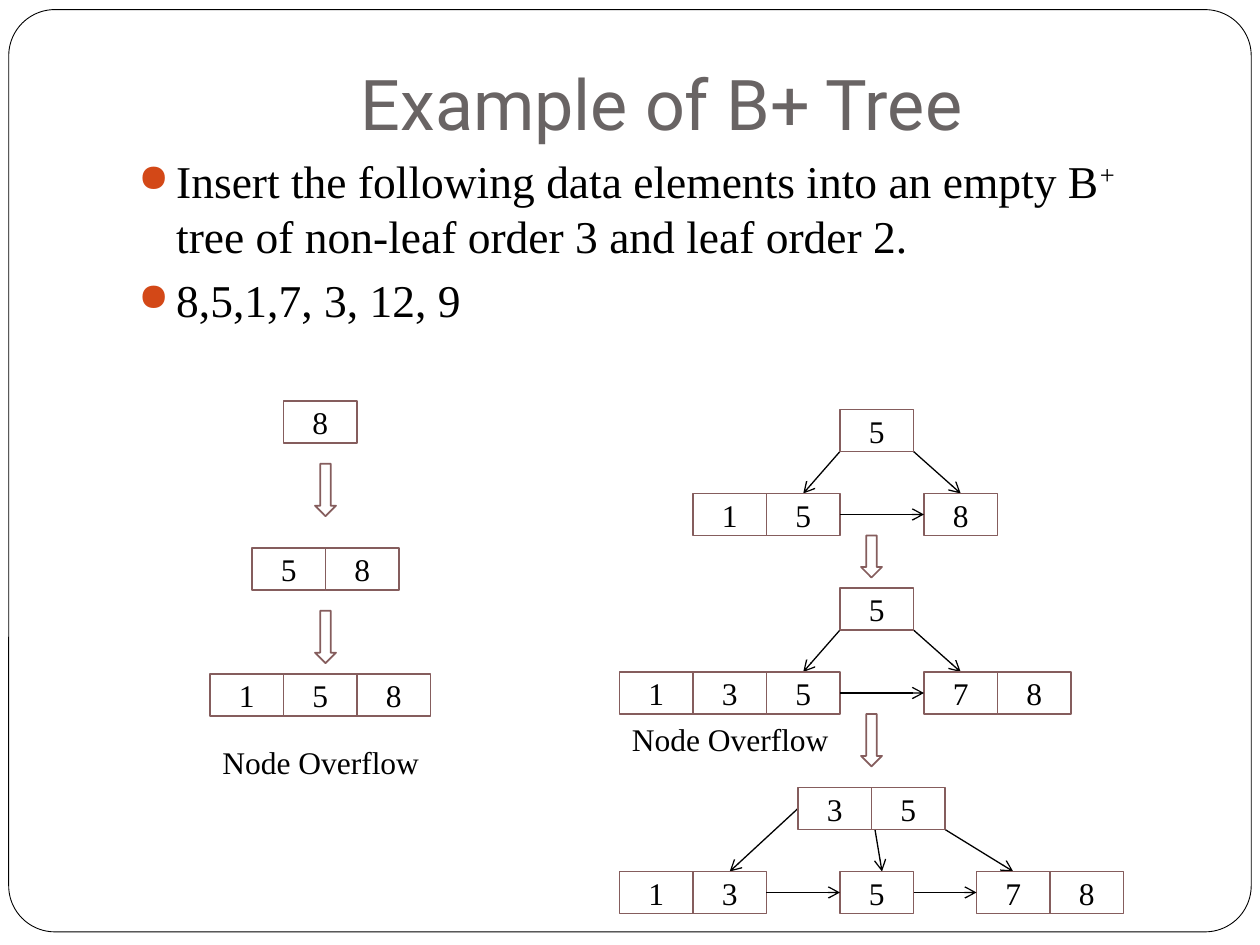
import pptx
import pptx.util
import pptx.dml.color
import pptx.enum.shapes
import pptx.enum.text
import pptx.oxml.ns
from lxml import etree

Pt = pptx.util.Pt
qn = pptx.oxml.ns.qn
SHAPE = pptx.enum.shapes.MSO_SHAPE
ANCHOR = pptx.enum.text.MSO_ANCHOR
ALIGN = pptx.enum.text.PP_ALIGN
COLORS = {"white": "FFFFFF", "black": "000000", "title": "696464",
          "bullet": "D34817", "node": "855D5D"}
CELL_W, CELL_H = 42, 24


def rgb(name):
    return pptx.dml.color.RGBColor.from_string(COLORS[name])


class Deck:
    serif = "Times New Roman"
    sans = "Roboto"

    def __init__(self, width, height):
        self.prs = pptx.Presentation()
        self.prs.slide_width, self.prs.slide_height = Pt(width), Pt(height)
        self.s = self.prs.slides.add_slide(self.prs.slide_layouts[6])

    def font(self, p, size, name, color="black"):
        for r in p.runs:
            r.font.size, r.font.name = Pt(size), name
            r.font.color.rgb = rgb(color)

    def shape(self, kind, x, y, w, h, line="node", weight=1):
        sp = self.s.shapes.add_shape(kind, Pt(x), Pt(y), Pt(w), Pt(h))
        sp.shadow.inherit = False
        sp.fill.solid()
        sp.fill.fore_color.rgb = rgb("white")
        sp.line.color.rgb = rgb(line)
        sp.line.width = Pt(weight)
        return sp

    def frame(self, x, y, w, h):
        sp = self.shape(SHAPE.ROUNDED_RECTANGLE, x, y, w, h, "black", 0.5)
        sp.adjustments[0] = 0.05

    def textbox(self, x, y, w, h):
        tf = self.s.shapes.add_textbox(Pt(x), Pt(y), Pt(w), Pt(h)).text_frame
        tf.word_wrap = True
        return tf

    def title(self, text, x, y, w, h):
        tf = self.textbox(x, y, w, h)
        tf.text = text
        tf.vertical_anchor = ANCHOR.BOTTOM
        tf.margin_bottom = Pt(7.2)
        tf.paragraphs[0].alignment = ALIGN.CENTER
        self.font(tf.paragraphs[0], 40, self.sans, "title")

    def label(self, text, x, y):
        tf = self.textbox(x, y, 132, 29)
        tf.text = text
        self.font(tf.paragraphs[0], 18, self.serif)

    def bullets(self, items, x, y, w, h):
        tf = self.textbox(x, y, w, h)
        for i, parts in enumerate(items):
            p = tf.add_paragraph() if i else tf.paragraphs[0]
            p.space_before = Pt(5.8)
            for j, part in enumerate(parts):
                r = p.add_run()
                r.text = part
                if j == 1:
                    r.font._element.set("baseline", "30000")
            self.font(p, 26, self.serif)
            pPr = p._p.get_or_add_pPr()
            pPr.set("marL", str(Pt(21.6)))
            pPr.set("indent", str(-Pt(21.6)))
            clr = etree.SubElement(pPr, qn("a:buClr"))
            etree.SubElement(clr, qn("a:srgbClr"), val=COLORS["bullet"])
            etree.SubElement(pPr, qn("a:buSzPct"), val="85000")
            etree.SubElement(pPr, qn("a:buChar"), char="●")

    def node(self, keys, x, y):
        for i, key in enumerate(keys):
            sp = self.shape(SHAPE.RECTANGLE, x + i * CELL_W, y, CELL_W, CELL_H)
            tf = sp.text_frame
            tf.text = key
            tf.vertical_anchor = ANCHOR.MIDDLE
            tf.paragraphs[0].alignment = ALIGN.CENTER
            self.font(tf.paragraphs[0], 18, self.serif)

    def step(self, x, y, h=30):
        self.shape(SHAPE.DOWN_ARROW, x, y, 12, h)

    def pointer(self, x1, y1, x2, y2):
        c = self.s.shapes.add_connector(
            pptx.enum.shapes.MSO_CONNECTOR.STRAIGHT, Pt(x1), Pt(y1), Pt(x2), Pt(y2))
        c.line.color.rgb = rgb("black")
        c.line.width = Pt(0.75)
        etree.SubElement(c.line._get_or_add_ln(), qn("a:tailEnd"), type="arrow")
        etree.SubElement(c._element.spPr, qn("a:effectLst"))

    def tree(self, root, leaves, pointers, y):
        leaf_y = y + 2 * CELL_H
        for x1, dy, x2 in pointers:
            self.pointer(x1, y + dy, x2, leaf_y)
        self.node(*root, y)
        for keys, x in leaves:
            self.node(keys, x, leaf_y)
        for (keys, x), (_, next_x) in zip(leaves, leaves[1:]):
            mid = leaf_y + CELL_H / 2
            self.pointer(x + len(keys) * CELL_W, mid, next_x, mid)


def main():
    deck = Deck(720, 540)
    deck.frame(5, 5.5, 710, 527)
    deck.title("Example of B+ Tree", 72, 21.6, 612, 68.4)
    deck.bullets([
        ["Insert the following data elements into an empty B", "+",
         " tree of non-leaf order 3 and leaf order 2."],
        ["8,5,1,7, 3, 12, 9"],
    ], 72, 84, 612, 114)

    for keys, x, y in [("8", 162, 229), ("58", 144, 313), ("158", 120, 385)]:
        deck.node(keys, x, y)
    for y in (265, 349):
        deck.step(180, y)
    deck.label("Node Overflow", 120, 421)

    split = [(480, CELL_H, 459), (522, CELL_H, 549)]
    deck.tree(("5", 480), [("15", 396), ("8", 528)], split, 234)
    deck.step(492, 306, 24)
    deck.tree(("5", 480), [("135", 354), ("78", 528)], split, 336)
    deck.step(492, 408)
    deck.label("Node Overflow", 354, 408)
    deck.tree(("35", 456), [("13", 354), ("5", 480), ("78", 558)],
              [(456, 12, 417), (498, 12, 504), (540, CELL_H, 579)], 450)
    deck.prs.save("out.pptx")


if __name__ == "__main__":
    main()
